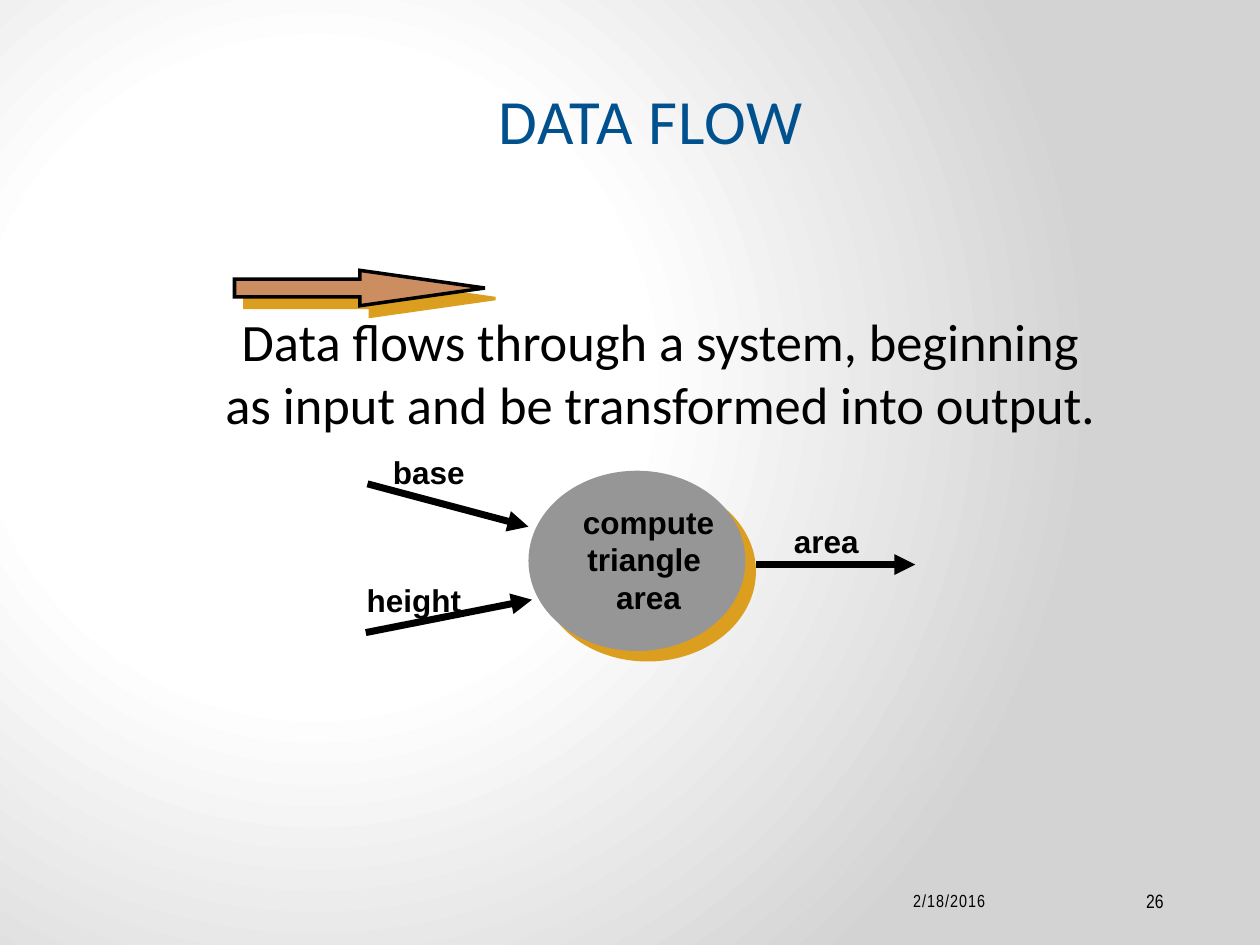
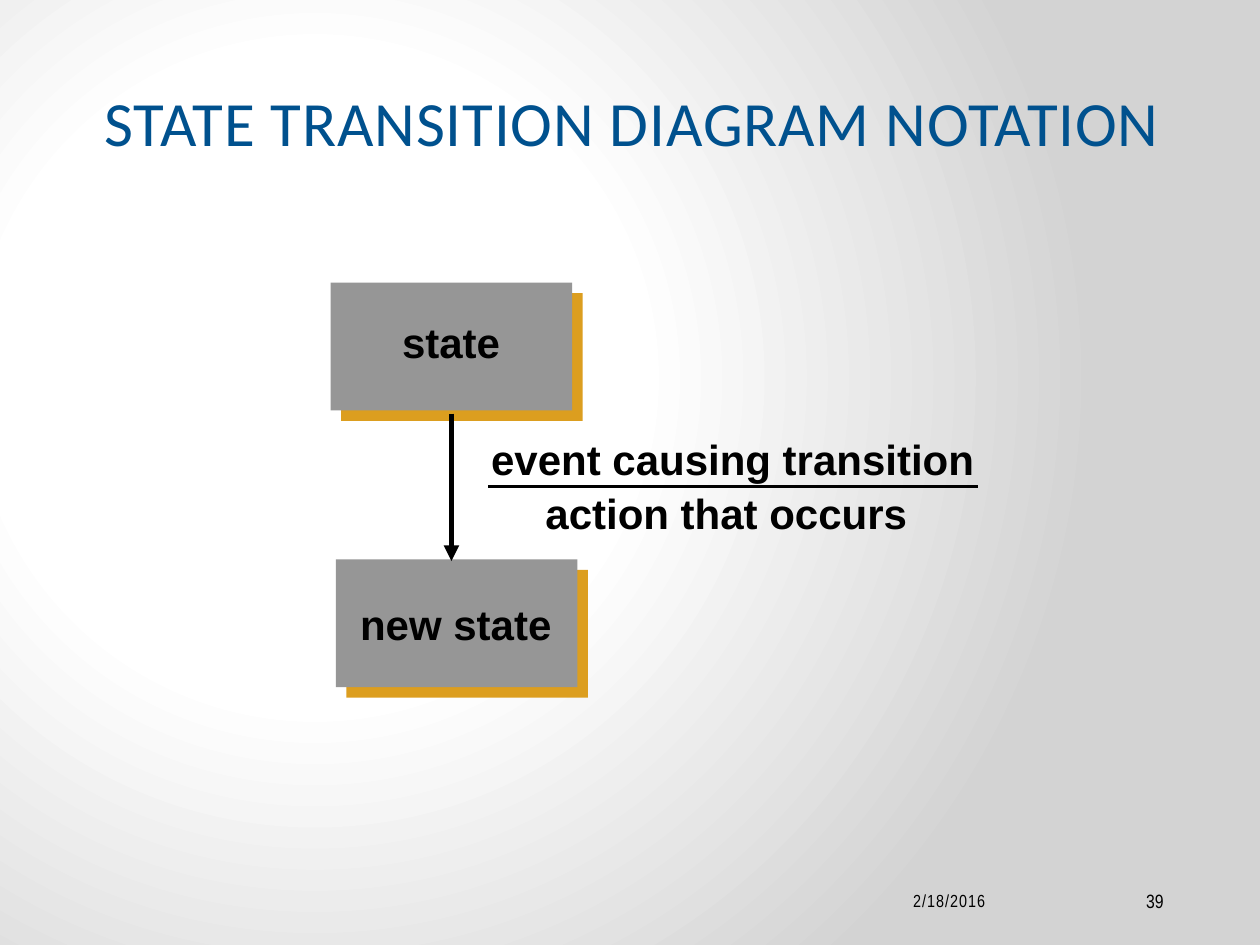
from pptx import Presentation
from pptx.dml.color import RGBColor
from pptx.enum.shapes import MSO_CONNECTOR, MSO_SHAPE
from pptx.enum.text import MSO_ANCHOR, MSO_AUTO_SIZE, PP_ALIGN
from pptx.oxml import parse_xml
from pptx.oxml.ns import nsdecls, qn
from pptx.util import Pt
from lxml.etree import SubElement

BLACK = RGBColor(0x00, 0x00, 0x00)
BLUE = RGBColor(0x00, 0x51, 0x8E)
GRAY = RGBColor(0x96, 0x96, 0x96)
COPPER = RGBColor(0xCC, 0x8E, 0x60)
GOLD = RGBColor(0xDC, 0x9E, 0x1F)
WHITE = RGBColor(0xFF, 0xFF, 0xFF)
SILVER = RGBColor(0xD3, 0xD3, 0xD3)
STOPS = ((0, WHITE), (41, WHITE), (100, SILVER))
LEFT, MID, RIGHT = PP_ALIGN.LEFT, PP_ALIGN.CENTER, PP_ALIGN.RIGHT


def paint_back(master):
    """Give every slide the round white-to-silver gradient."""
    master.background.fill.gradient()
    old = master.element.find(".//" + qn("a:gradFill"))
    stops = "".join(
        f'<a:gs pos="{pos * 1000}"><a:srgbClr val="{color}"/></a:gs>'
        for pos, color in STOPS
    )
    new = parse_xml(
        f'<a:gradFill {nsdecls("a")} rotWithShape="1"><a:gsLst>{stops}</a:gsLst>'
        '<a:path path="circle"><a:fillToRect l="50000" t="80000" '
        'r="100000" b="100000"/></a:path></a:gradFill>'
    )
    old.getparent().replace(old, new)


def add_text(slide, box, lines, size, font="Arial", color=BLACK, bold=False,
             align=LEFT, anchor=MSO_ANCHOR.TOP, space=0):
    """Add a text box with one paragraph per line."""
    shape = slide.shapes.add_textbox(*map(Pt, box))
    frame = shape.text_frame
    frame.word_wrap = True
    frame.vertical_anchor = anchor
    frame.text = "\n".join(lines)
    for para in frame.paragraphs:
        para.alignment = align
        para.font.name = font
        para.font.size = Pt(size)
        para.font.bold = bold
        para.font.color.rgb = color
        if space:
            for run in para.runs:
                run.font._element.set("spc", str(space))
    return shape


def add_label(slide, box, *lines, size=18, align=LEFT):
    """Add a bold diagram label that grows with its text."""
    label = add_text(slide, box, lines, size, bold=True, align=align)
    label.text_frame.word_wrap = False
    label.text_frame.auto_size = MSO_AUTO_SIZE.SHAPE_TO_FIT_TEXT
    return label


def add_block(slide, kind, box, fill=GRAY):
    """Add a filled shape that casts a hard gold shadow."""
    shape = slide.shapes.add_shape(kind, *map(Pt, box))
    shape.fill.solid()
    shape.fill.fore_color.rgb = fill
    shape.line.fill.background()
    shape.shadow.inherit = False
    cast = SubElement(
        shape._element.spPr.find(qn("a:effectLst")), qn("a:outerShdw"),
        dist=str(Pt(8.5)), dir="2700000", algn="ctr", rotWithShape="0",
    )
    SubElement(cast, qn("a:srgbClr"), val=str(GOLD))
    return shape


def add_link(slide, start, end, width, head=True):
    """Draw a black line, with an arrowhead at its end if asked."""
    link = slide.shapes.add_connector(
        MSO_CONNECTOR.STRAIGHT, *map(Pt, (*start, *end)))
    link.line.color.rgb = BLACK
    link.line.width = Pt(width)
    if head:
        SubElement(link.line._get_or_add_ln(), qn("a:tailEnd"), type="triangle")
    SubElement(link._element.spPr, qn("a:effectLst"))


def add_state(slide, block, box, name):
    """Add a state block with its name on a gray label."""
    add_block(slide, MSO_SHAPE.RECTANGLE, (*block, 138, 73))
    label = add_label(slide, box, name, size=24)
    label.fill.solid()
    label.fill.fore_color.rgb = GRAY


def add_page(deck, title, box, number):
    """Add a slide with its title, date and number."""
    slide = deck.slides.add_slide(deck.slide_layouts[6])
    add_text(slide, box, [title], 36, "Calibri", BLUE, align=MID,
             anchor=MSO_ANCHOR.BOTTOM, space=50)
    foot = {"font": "Arial Narrow", "align": RIGHT, "anchor": MSO_ANCHOR.MIDDLE}
    add_text(slide, (450, 500.4, 120, 28.8), ["2/18/2016"], 10, space=60, **foot)
    add_text(slide, (594, 500.4, 78, 28.8), [str(number)], 11, **foot)
    return slide


def draw_flow(deck):
    """Build the data flow slide."""
    slide = add_page(deck, "DATA FLOW", (111.6, 53.3, 520.6, 40.3), 26)
    arrow = add_block(slide, MSO_SHAPE.RIGHT_ARROW, (134, 154.5, 143, 20.2), COPPER)
    arrow.adjustments[1] = 3.53
    arrow.line.color.rgb = BLACK
    arrow.line.width = Pt(2)
    SubElement(arrow.line._get_or_add_ln(), qn("a:miter"), lim="800000")
    add_text(slide, (102, 172.8, 550.8, 80), [
        "Data flows through a system, beginning",
        "as input and be transformed into output.",
    ], 30, "Calibri", align=MID)
    add_block(slide, MSO_SHAPE.OVAL, (302, 269, 124, 103))
    add_label(slide, (326, 283.7, 89.3, 93.6),
              "compute", "triangle ", "area", align=MID)
    for start, end in (
        ((210, 276.5), (302, 301)),
        ((209, 361.5), (304, 342.7)),
        ((432, 322.6), (523, 322.6)),
    ):
        add_link(slide, start, end, 4)
    for name, left, top, width in (
        ("base", 217.5, 255.6, 56),
        ("height", 202.5, 328.7, 69),
        ("area", 446.5, 294.5, 52),
    ):
        add_label(slide, (left, top, width, 28.8), name)


def draw_state(deck):
    """Build the state transition slide."""
    slide = add_page(deck, "STATE TRANSITION DIAGRAM NOTATION",
                     (24, 54, 674.6, 40.3), 39)
    add_state(slide, (189, 161.5), (222.7, 177.5, 72, 36), "state")
    add_state(slide, (192, 319.7), (198.7, 338.7, 125, 36), "new state")
    add_link(slide, (258, 236.4), (258, 320.6), 3)
    add_link(slide, (279, 278), (559, 278), 2, head=False)
    add_label(slide, (273.6, 244.4, 293.5, 36), "event causing transition", size=24)
    add_label(slide, (304.6, 275, 223.5, 36), "action that occurs", size=24)


def main():
    """Build and save the deck."""
    deck = Presentation()
    deck.slide_width, deck.slide_height = Pt(720), Pt(540)
    paint_back(deck.slide_master)
    draw_flow(deck)
    draw_state(deck)
    deck.save("out.pptx")


if __name__ == "__main__":
    main()
